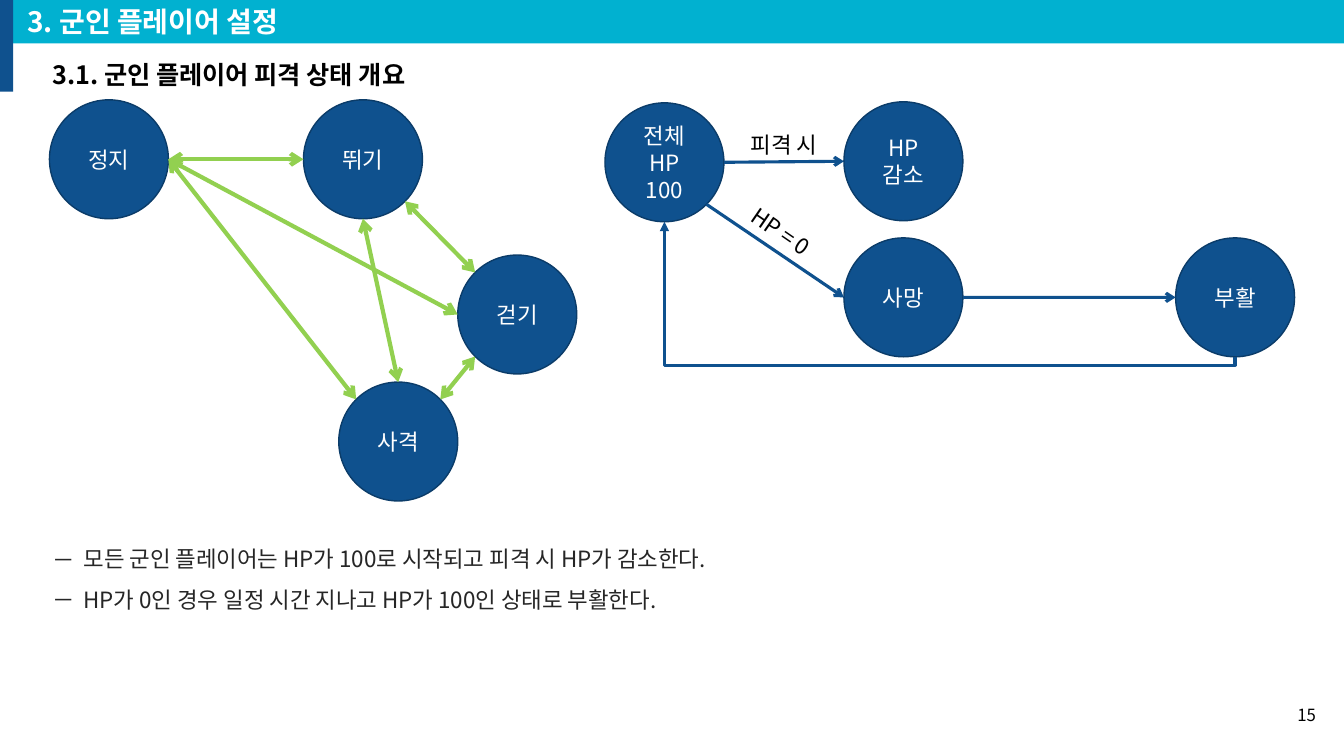
import math
from dataclasses import dataclass

import pptx
import pptx.dml.color
import pptx.enum.shapes
import pptx.enum.text
import pptx.oxml
import pptx.oxml.ns
import pptx.util
from pptx.dml.color import RGBColor
from pptx.util import Inches

FONT = "Noto Sans CJK KR"
NAVY = RGBColor(0x0F, 0x51, 0x8E)
DARK_NAVY = RGBColor(0x0B, 0x3C, 0x69)
CYAN = RGBColor(0x01, 0xB1, 0xD0)
GREEN = RGBColor(0x92, 0xD0, 0x50)
WHITE = RGBColor(0xFF, 0xFF, 0xFF)
BLACK = RGBColor(0x00, 0x00, 0x00)
CHARCOAL = RGBColor(0x26, 0x26, 0x26)

DIAMETER = 1.18
LEFT, CENTER, RIGHT = (
    pptx.enum.text.PP_ALIGN.LEFT,
    pptx.enum.text.PP_ALIGN.CENTER,
    pptx.enum.text.PP_ALIGN.RIGHT,
)
TOP, MIDDLE = pptx.enum.text.MSO_ANCHOR.TOP, pptx.enum.text.MSO_ANCHOR.MIDDLE
STRAIGHT = pptx.enum.shapes.MSO_CONNECTOR.STRAIGHT
ELBOW = pptx.enum.shapes.MSO_CONNECTOR.ELBOW

# Directions on a circle, in degrees clockwise from the right
E, SE, S, SW, W, N, NE = 0, 45, 90, 135, 180, 270, 315


@dataclass(frozen=True)
class State:
    left: float
    top: float
    lines: tuple[str, ...]

    def edge(self, angle: float) -> tuple[float, float]:
        """Point on the circle's rim in the given direction."""
        radius, turn = DIAMETER / 2, math.radians(angle)
        return (
            self.left + radius * (1 + math.cos(turn)),
            self.top + radius * (1 + math.sin(turn)),
        )


@dataclass(frozen=True)
class Link:
    source: State
    source_angle: float
    target: State
    target_angle: float


@dataclass(frozen=True)
class Label:
    left: float
    top: float
    width: float
    height: float
    text: str
    size: float = 16
    color: RGBColor = BLACK
    bold: bool = False
    align: int = CENTER
    anchor: int = TOP
    rotation: float = 0


# Movement states
STOP = State(0.49, 0.99, ("정지",))
RUN = State(3.01, 0.99, ("뛰기",))
WALK = State(4.54, 2.53, ("걷기",))
SHOOT = State(3.36, 3.79, ("사격",))

# Hit states
FULL_HP = State(6, 1.02, ("전체 HP 100",))
HP_LOSS = State(8.37, 1.01, ("HP", "감소"))
DEATH = State(8.37, 2.36, ("사망",))
REVIVAL = State(11.66, 2.36, ("부활",))

STATES = (STOP, RUN, WALK, SHOOT, FULL_HP, HP_LOSS, DEATH, REVIVAL)
HIT_LINKS = (
    Link(FULL_HP, E, HP_LOSS, W),
    Link(FULL_HP, SE, DEATH, W),
    Link(DEATH, E, REVIVAL, W),
)
MOVE_LINKS = (
    Link(STOP, E, RUN, W),
    Link(STOP, E, WALK, W),
    Link(STOP, E, SHOOT, 225),
    Link(RUN, SE, WALK, 225),
    Link(SHOOT, NE, WALK, SW),
    Link(RUN, S, SHOOT, N),
)
LABELS = (
    Label(0.42, 0.54, 4.08, 0.4, "3.1. 군인 플레이어 피격 상태 개요", 18, bold=True, align=LEFT),
    Label(6.98, 2.11, 1.53, 0.37, "HP = 0", rotation=34.5),
    Label(7.18, 1.25, 1.19, 0.37, "피격 시"),
    Label(12.72, 6.89, 0.43, 0.4, "15", 12, align=RIGHT, anchor=MIDDLE),
)
NOTES = (
    "모든 군인 플레이어는 HP가 100로 시작되고 피격 시 HP가 감소한다.",
    "HP가 0인 경우 일정 시간 지나고 HP가 100인 상태로 부활한다.",
)


def add_child(parent, tag: str, **attributes: str):
    child = pptx.oxml.parse_xml(f"<{tag} {pptx.oxml.ns.nsdecls('a')}/>")
    for name, value in attributes.items():
        child.set(name, value)
    parent.append(child)
    return child


def add_span(para, text: str, size: float, color: RGBColor, bold: bool = False) -> None:
    span = para.add_run()
    span.text = text
    span.font.name = FONT
    span.font.size = pptx.util.Pt(size)
    span.font.bold = bold
    span.font.color.rgb = color
    add_child(span.font._element, "a:ea", typeface=FONT)


def next_para(frame, index: int):
    return frame.add_paragraph() if index else frame.paragraphs[0]


def place(shape, left: float, top: float, width: float, height: float) -> None:
    shape.left, shape.top = Inches(left), Inches(top)
    shape.width, shape.height = Inches(width), Inches(height)


def fill_shape(shape, color: RGBColor) -> None:
    shape.fill.solid()
    shape.fill.fore_color.rgb = color


def draw_header(page) -> None:
    stripe = page.shapes.add_shape(
        pptx.enum.shapes.MSO_SHAPE.RECTANGLE, 0, 0, Inches(0.13), Inches(0.91)
    )
    stripe.shadow.inherit = False
    fill_shape(stripe, NAVY)
    stripe.line.fill.background()

    title = page.shapes.title
    place(title, 0.13, 0, 13.2, 0.43)
    fill_shape(title, CYAN)
    title.text_frame.auto_size = pptx.enum.text.MSO_AUTO_SIZE.NONE
    title.text_frame.vertical_anchor = MIDDLE
    para = title.text_frame.paragraphs[0]
    para.alignment = LEFT
    para._p.get_or_add_pPr().set("marL", str(Inches(0.04)))
    add_span(para, "3. 군인 플레이어 설정", 20, WHITE, True)


def draw_state(page, state: State) -> None:
    circle = page.shapes.add_shape(
        pptx.enum.shapes.MSO_SHAPE.OVAL,
        *map(Inches, (state.left, state.top, DIAMETER, DIAMETER)),
    )
    circle.shadow.inherit = False
    fill_shape(circle, NAVY)
    circle.line.color.rgb = DARK_NAVY
    circle.line.width = pptx.util.Pt(1)
    circle.text_frame.word_wrap = True
    circle.text_frame.vertical_anchor = MIDDLE
    for index, line in enumerate(state.lines):
        para = next_para(circle.text_frame, index)
        para.alignment = CENTER
        add_span(para, line, 16, WHITE)


def draw_connector(page, kind, start, end, color: RGBColor, width: float, **arrows: str):
    connector = page.shapes.add_connector(kind, *map(Inches, (*start, *end)))
    connector.line.color.rgb = color
    connector.line.width = pptx.util.Pt(width)
    for arrow_end, arrow_type in arrows.items():
        add_child(connector.line._get_or_add_ln(), f"a:{arrow_end}", type=arrow_type)
    add_child(connector._element.spPr, "a:effectLst")
    return connector


def draw_link(page, link: Link, color: RGBColor, width: float, **arrows: str) -> None:
    start = link.source.edge(link.source_angle)
    end = link.target.edge(link.target_angle)
    draw_connector(page, STRAIGHT, start, end, color, width, **arrows)


def draw_return(page) -> None:
    """Elbow from the revival state back to full HP, turned by 90 degrees."""
    (x1, y1), (x2, y2) = REVIVAL.edge(S), FULL_HP.edge(N + 180)
    mid_x, mid_y = (x1 + x2) / 2, (y1 + y2) / 2
    half_w, half_h = (y1 - y2) / 2, (x1 - x2) / 2
    elbow = draw_connector(
        page, ELBOW, (mid_x + half_w, mid_y - half_h), (mid_x - half_w, mid_y + half_h),
        NAVY, 2.25, tailEnd="triangle",
    )
    properties = elbow._element.spPr
    properties.find(pptx.oxml.ns.qn("a:xfrm")).set("rot", str(90 * 60000))
    adjustments = properties.find(".//" + pptx.oxml.ns.qn("a:avLst"))
    add_child(adjustments, "a:gd", name="adj1", fmla="val -6200")


def draw_label(page, label: Label) -> None:
    box = page.shapes.add_textbox(
        *map(Inches, (label.left, label.top, label.width, label.height))
    )
    box.rotation = label.rotation
    box.text_frame.word_wrap = True
    box.text_frame.vertical_anchor = label.anchor
    para = box.text_frame.paragraphs[0]
    para.alignment = label.align
    add_span(para, label.text, label.size, label.color, label.bold)


def draw_notes(page) -> None:
    box = page.shapes.add_textbox(*map(Inches, (0.42, 5.23, 12.42, 0.86)))
    box.text_frame.word_wrap = True
    for index, note in enumerate(NOTES):
        para = next_para(box.text_frame, index)
        properties = para._p.get_or_add_pPr()
        properties.set("marL", str(Inches(0.31)))
        properties.set("indent", str(Inches(-0.31)))
        add_child(properties, "a:buFont", typeface=FONT)
        add_child(properties, "a:buChar", char="－")
        para.line_spacing = 1.5
        add_span(para, note, 16, CHARCOAL)


def main() -> None:
    deck = pptx.Presentation()
    deck.slide_width, deck.slide_height = Inches(13.33), Inches(7.5)
    page = deck.slides.add_slide(deck.slide_layouts[5])
    draw_header(page)
    for state in STATES:
        draw_state(page, state)
    for link in HIT_LINKS:
        draw_link(page, link, NAVY, 2.25, tailEnd="arrow")
    draw_return(page)
    for link in MOVE_LINKS:
        draw_link(page, link, GREEN, 3, headEnd="arrow", tailEnd="arrow")
    for label in LABELS:
        draw_label(page, label)
    draw_notes(page)
    deck.save("out.pptx")


if __name__ == "__main__":
    main()
